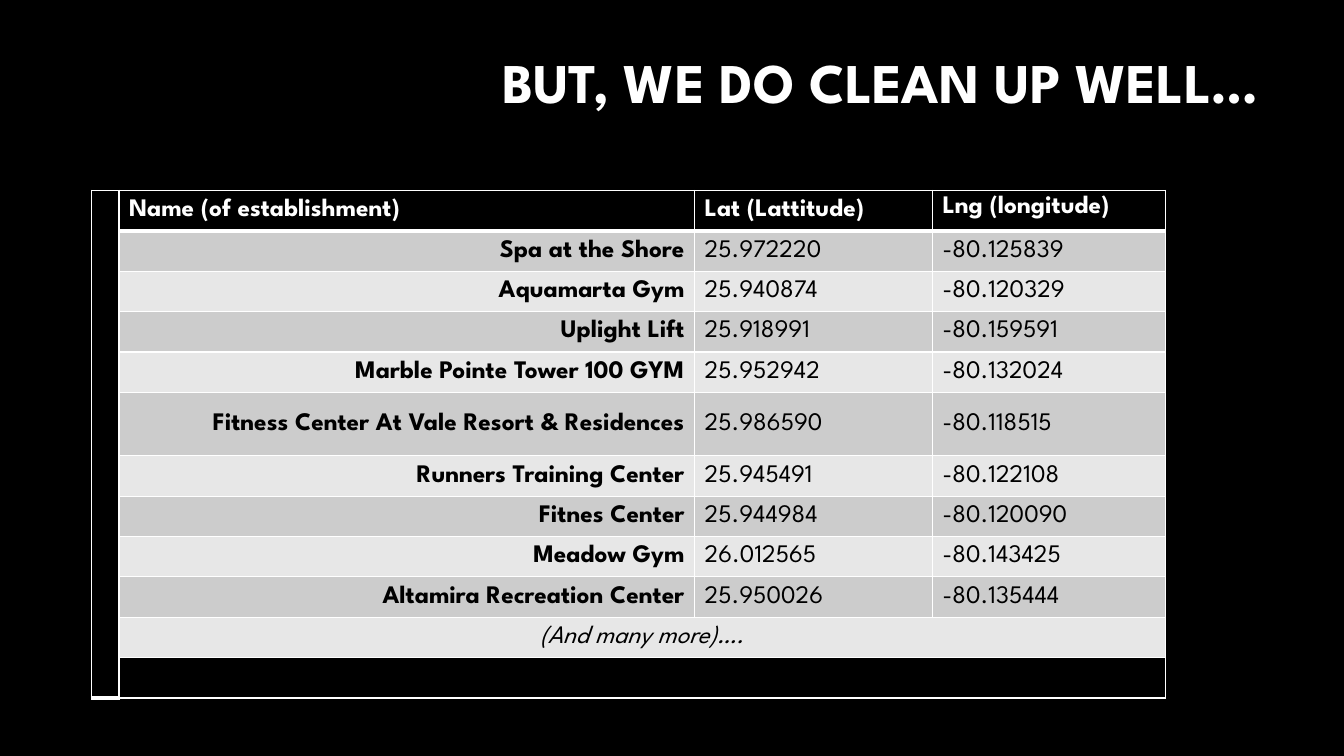
import pptx
import pptx.util
import pptx.dml.color
import pptx.enum.text
import pptx.oxml
import pptx.oxml.ns

Inches, Pt = pptx.util.Inches, pptx.util.Pt
RGB = pptx.dml.color.RGBColor
ALIGN, ANCHOR = pptx.enum.text.PP_ALIGN, pptx.enum.text.MSO_ANCHOR

FONT = "League Spartan"
COLORS = {"black": "000000", "white": "FFFFFF", "dark": "CCCCCC", "light": "E7E7E7"}

TITLE = "BUT, WE DO CLEAN UP WELL…"
HEADER = ["Name (of establishment)", "Lat (Lattitude)", "Lng (longitude)"]
PLACES = [
    ("Spa at the Shore", "25.972220", "-80.125839"),
    ("Aquamarta Gym", "25.940874", "-80.120329"),
    ("Uplight Lift", "25.918991", "-80.159591"),
    ("Marble Pointe Tower 100 GYM", "25.952942", "-80.132024"),
    ("Fitness Center At Vale Resort & Residences", "25.986590", "-80.118515"),
    ("Runners Training Center", "25.945491", "-80.122108"),
    ("Fitnes Center", "25.944984", "-80.120090"),
    ("Meadow Gym", "26.012565", "-80.143425"),
    ("Altamira Recreation Center", "25.950026", "-80.135444"),
]
MORE = "(And many more)…."
COLUMNS = [0.27, 5.71, 2.36, 2.31]
ROW, TALL_ROW = 0.38, 0.63
TALL_INDEX = 5


def write(tf, text, color, align=ALIGN.LEFT, **font):
    p = tf.paragraphs[0]
    p.alignment = align
    r = p.add_run()
    r.text = text
    for name, value in {"name": FONT, "size": Pt(18), "bold": False, **font}.items():
        setattr(r.font, name, value)
    r.font.color.rgb = RGB.from_string(COLORS[color])
    return p


def set_cell(cell, fill, bottom=1):
    tcPr = cell._tc.get_or_add_tcPr()
    for side, width in {"L": 1, "R": 1, "T": 1, "B": bottom}.items():
        tcPr.append(pptx.oxml.parse_xml(
            f'<a:ln{side} {pptx.oxml.ns.nsdecls("a")} w="{Pt(width)}"><a:solidFill>'
            f'<a:srgbClr val="{COLORS["white"]}"/></a:solidFill></a:ln{side}>'))
    cell.fill.solid()
    cell.fill.fore_color.rgb = RGB.from_string(COLORS[fill])
    cell.vertical_anchor = ANCHOR.MIDDLE


def add_title(s, x, y, w, h):
    tf = s.shapes.add_textbox(Inches(x), Inches(y), Inches(w), Inches(h)).text_frame
    for name, value in {"word_wrap": True, "vertical_anchor": ANCHOR.MIDDLE}.items():
        setattr(tf, name, value)
    p = write(tf, TITLE, "white", ALIGN.RIGHT, size=Pt(40), bold=True)
    p.line_spacing = 0.9


def add_places(s, x, y):
    count = len(PLACES) + 3
    heights = [TALL_ROW if i == TALL_INDEX else ROW for i in range(count)]
    table = s.shapes.add_table(count, len(COLUMNS), Inches(x), Inches(y),
                               Inches(sum(COLUMNS)), Inches(sum(heights))).table
    for name in ("first_row", "horz_banding"):
        setattr(table, name, False)
    for column, width in zip(table.columns, COLUMNS):
        column.width = Inches(width)
    for row, height in zip(table.rows, heights):
        row.height = Inches(height)

    for i in range(count):
        band = "dark" if i % 2 else "light"
        fill = "black" if i in (0, count - 1) else band
        for j in range(len(COLUMNS)):
            set_cell(table.cell(i, j), fill if j else "black", 3 if i == 0 else 1)

    table.cell(0, 0).merge(table.cell(count - 1, 0))
    for i in (count - 2, count - 1):
        table.cell(i, 1).merge(table.cell(i, 3))

    for j, text in enumerate(HEADER, 1):
        write(table.cell(0, j).text_frame, text, "white", bold=True)
    table.cell(0, 3).vertical_anchor = ANCHOR.TOP
    for i, place in enumerate(PLACES, 1):
        for j, text in enumerate(place, 1):
            write(table.cell(i, j).text_frame, text, "black",
                  ALIGN.RIGHT if j == 1 else ALIGN.LEFT, bold=j == 1)
    write(table.cell(count - 2, 1).text_frame, MORE, "black", ALIGN.CENTER, italic=True)


def main():
    prs = pptx.Presentation()
    prs.slide_width, prs.slide_height = Inches(13.33), Inches(7.5)
    s = prs.slides.add_slide(prs.slide_layouts[6])
    s.background.fill.solid()
    s.background.fill.fore_color.rgb = RGB.from_string(COLORS["black"])
    add_title(s, 3.15, 0.14, 9.42, 1.41)
    add_places(s, 0.91, 1.89)
    prs.save("out.pptx")


if __name__ == "__main__":
    main()
